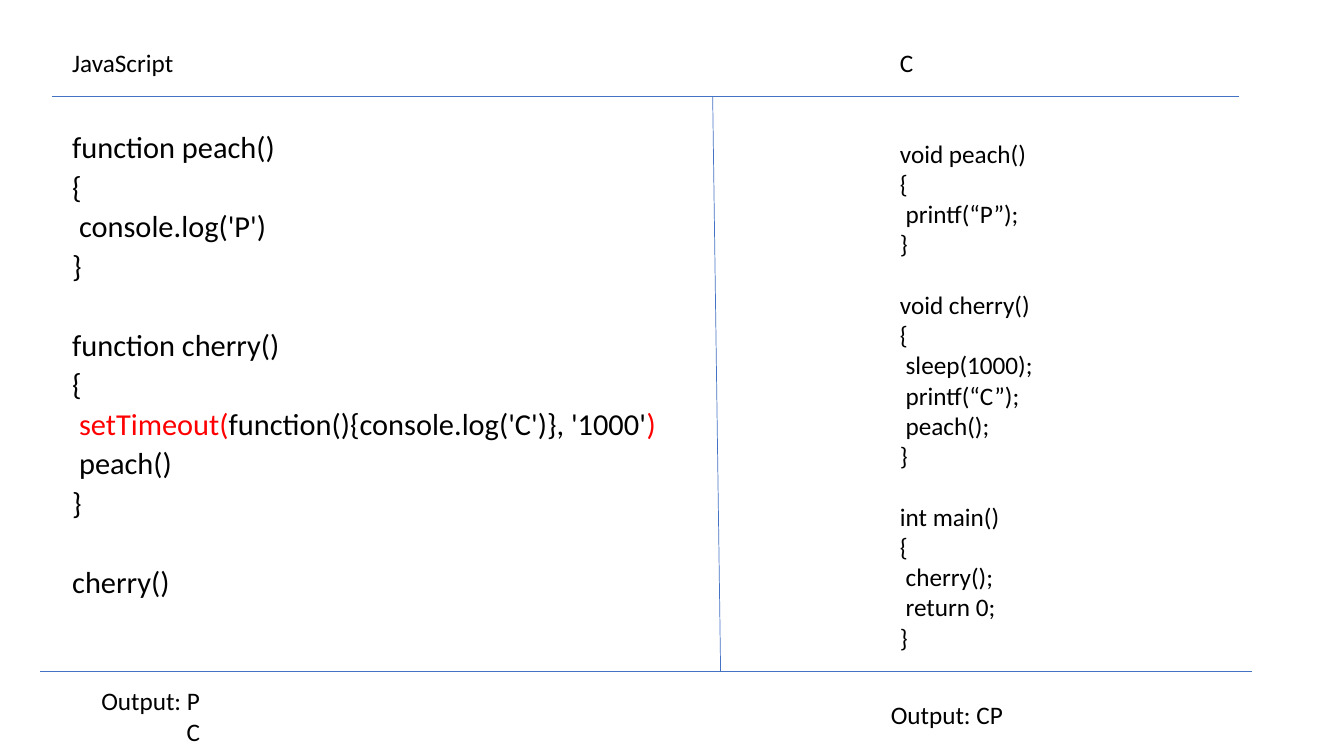
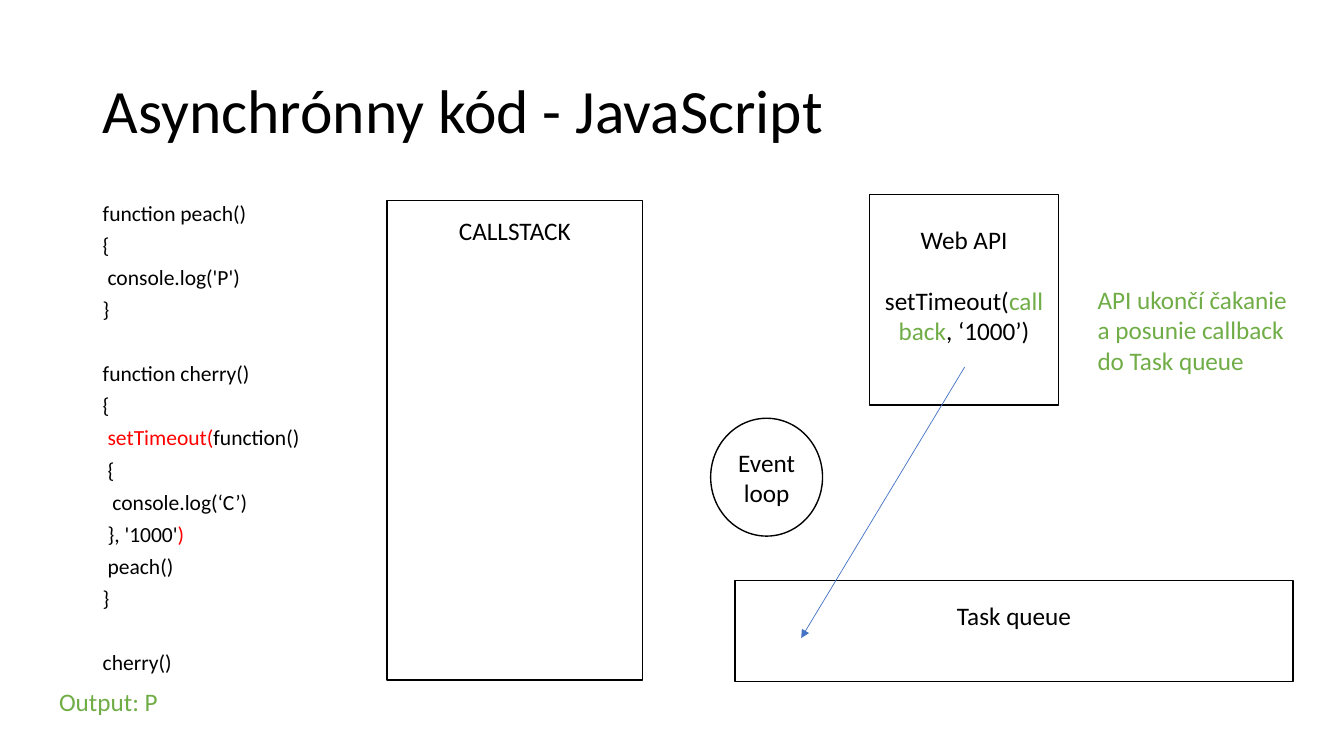
from pptx import Presentation
from pptx.dml.color import RGBColor
from pptx.enum.shapes import MSO_CONNECTOR, MSO_SHAPE as SHAPE
from pptx.enum.text import MSO_ANCHOR as ANCHOR, PP_ALIGN as ALIGN
from pptx.oxml.ns import qn
from pptx.util import Cm, Pt
from lxml import etree

BLACK, WHITE, RED, GREEN, BLUE = "000000", "FFFFFF", "FF0000", "70AD47", "4472C4"
FONT = "Calibri"
LINE_HEIGHT, SPACE_WIDTH = 1.2, 0.226
CODE = dict(leading=0.7, before=10, accent=RED)

rgb = RGBColor.from_string


def write(sp, text, size=18, color=BLACK, accent=GREEN, align=ALIGN.LEFT,
          anchor=ANCHOR.TOP, leading=1.0, before=0, top=0.13):
    tf = sp.text_frame
    tf.word_wrap = True
    tf.vertical_anchor = anchor
    tf.margin_top = Cm(top)
    pitch = before + LINE_HEIGHT * size * leading
    p, gap = tf.paragraphs[0], 0
    for i, line in enumerate(text.split("\n")):
        if not line:
            gap += pitch
            continue
        if i:
            p = tf.add_paragraph()
        code = line.lstrip(" ")
        indent = (len(line) - len(code)) * SPACE_WIDTH * size
        p.alignment = align
        p.line_spacing = leading
        p.space_before = Pt(round(before + gap, 1))
        if indent:
            p._p.get_or_add_pPr().set("marL", str(Pt(indent)))
        gap = 0
        for k, part in enumerate(code.split("|")):
            if part:
                r = p.add_run()
                r.text = part
                r.font.name, r.font.size = FONT, Pt(size)
                r.font.color.rgb = rgb(accent if k % 2 else color)


def connect(s, x1, y1, x2, y2, arrow=False):
    line = s.shapes.add_connector(MSO_CONNECTOR.STRAIGHT, Cm(x1), Cm(y1), Cm(x2), Cm(y2))
    line.line.color.rgb = rgb(BLUE)
    line.line.width = Pt(0.5)
    if arrow:
        etree.SubElement(line.line._get_or_add_ln(), qn("a:tailEnd"), type="triangle")
    etree.SubElement(line._element.spPr, qn("a:effectLst"))


prs = Presentation()
prs.slide_width, prs.slide_height = Cm(33.87), Cm(19.05)
blank = prs.slide_layouts[6]

JS_PEACH = """function peach()
{
 console.log('P')
}

function cherry()
{
"""
JS_END = """
 peach()
}

cherry()"""
JS_SHORT = JS_PEACH + " |setTimeout(|function(){console.log('C')}, '1000'|)|" + JS_END
JS_LONG = JS_PEACH + """ |setTimeout(|function()
 {
  console.log(‘C’)
 }, '1000'|)|""" + JS_END
C_CODE = """void peach()
{
 printf(“P”);
}

void cherry()
{
 sleep(1000);
 printf(“C”);
 peach();
}

int main()
{
 cherry();
 return 0;
}"""

comparison = [
    ((1.57, 3.35, 15.57, 12.57), JS_SHORT, dict(size=21.7, **CODE)),
    ((22.43, 3.35, 6.3, 13.34), C_CODE, {}),
    ((1.57, 1.07, 8.33, 1.02), "JavaScript", {}),
    ((22.43, 1.07, 8.33, 1.02), "C", {}),
    ((1.57, 17.15, 3.72, 1.8), "Output: P\nC", dict(align=ALIGN.RIGHT)),
    ((22.2, 17.5, 3.8, 1.02), "Output: CP", {}),
]
event_loop = [
    ((2.34, 1.02, 29.21, 3.68), "Asynchrónny kód - JavaScript",
     dict(size=44, leading=0.9, anchor=ANCHOR.MIDDLE)),
    ((2.34, 5.08, 5.74, 12.09), JS_LONG, dict(size=15.4, **CODE)),
    ((1.24, 17.17, 15.19, 1.02), "Output: P", dict(color=GREEN)),
    ((27.41, 7.04, 5.38, 2.57), "API ukončí čakanie a posunie callback do Task queue",
     dict(color=GREEN)),
]
slides = []
for texts in (comparison, event_loop):
    s = prs.slides.add_slide(blank)
    slides.append(s)
    for box, text, style in texts:
        write(s.shapes.add_textbox(*map(Cm, box)), text, **style)

for ends in ((17.96, 2.44, 18.16, 16.92), (1.32, 2.44, 31.22, 2.44), (1.02, 16.92, 31.55, 16.92)):
    connect(slides[0], *ends)

runtime = [
    (SHAPE.RECTANGLE, (9.75, 5.05, 6.45, 12.09), "CALLSTACK", dict(top=0.38)),
    (SHAPE.RECTANGLE, (21.92, 4.9, 4.75, 5.31),
     "Web API\n\nsetTimeout(|callback|, ‘1000’)", dict(top=0.76)),
    (SHAPE.RECTANGLE, (18.52, 14.63, 14.07, 2.54), "Task queue", dict(top=0.51)),
    (SHAPE.OVAL, (17.91, 10.54, 2.82, 2.97), "Event loop", dict(anchor=ANCHOR.MIDDLE)),
]
for kind, box, text, style in runtime:
    sp = slides[1].shapes.add_shape(kind, *map(Cm, box))
    sp.shadow.inherit = False
    sp.fill.solid()
    sp.fill.fore_color.rgb = rgb(WHITE)
    sp.line.color.rgb = rgb(BLACK)
    sp.line.width = Pt(1)
    write(sp, text, align=ALIGN.CENTER, **style)
connect(slides[1], 24.31, 9.25, 20.19, 16.08, arrow=True)

prs.save("out.pptx")
